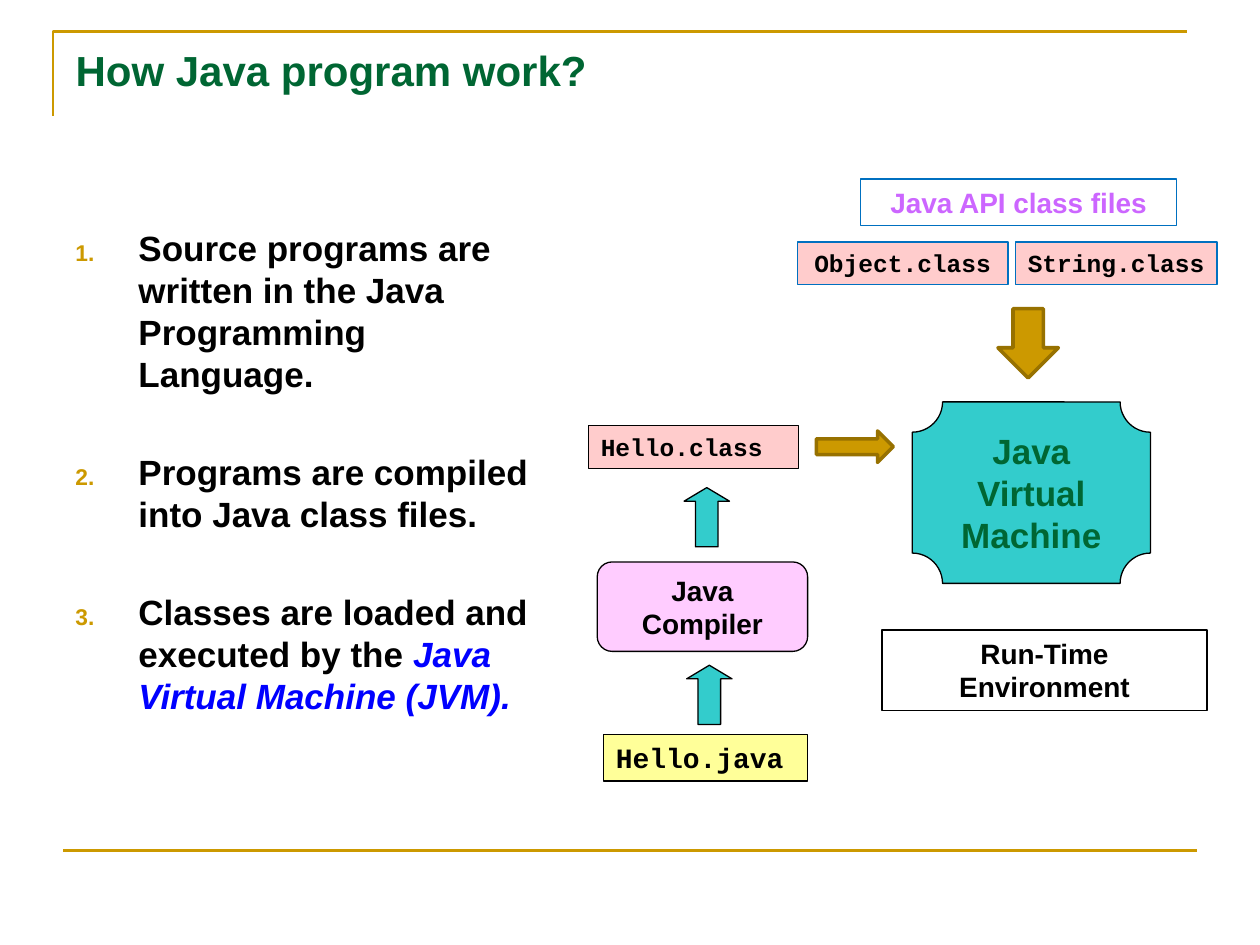
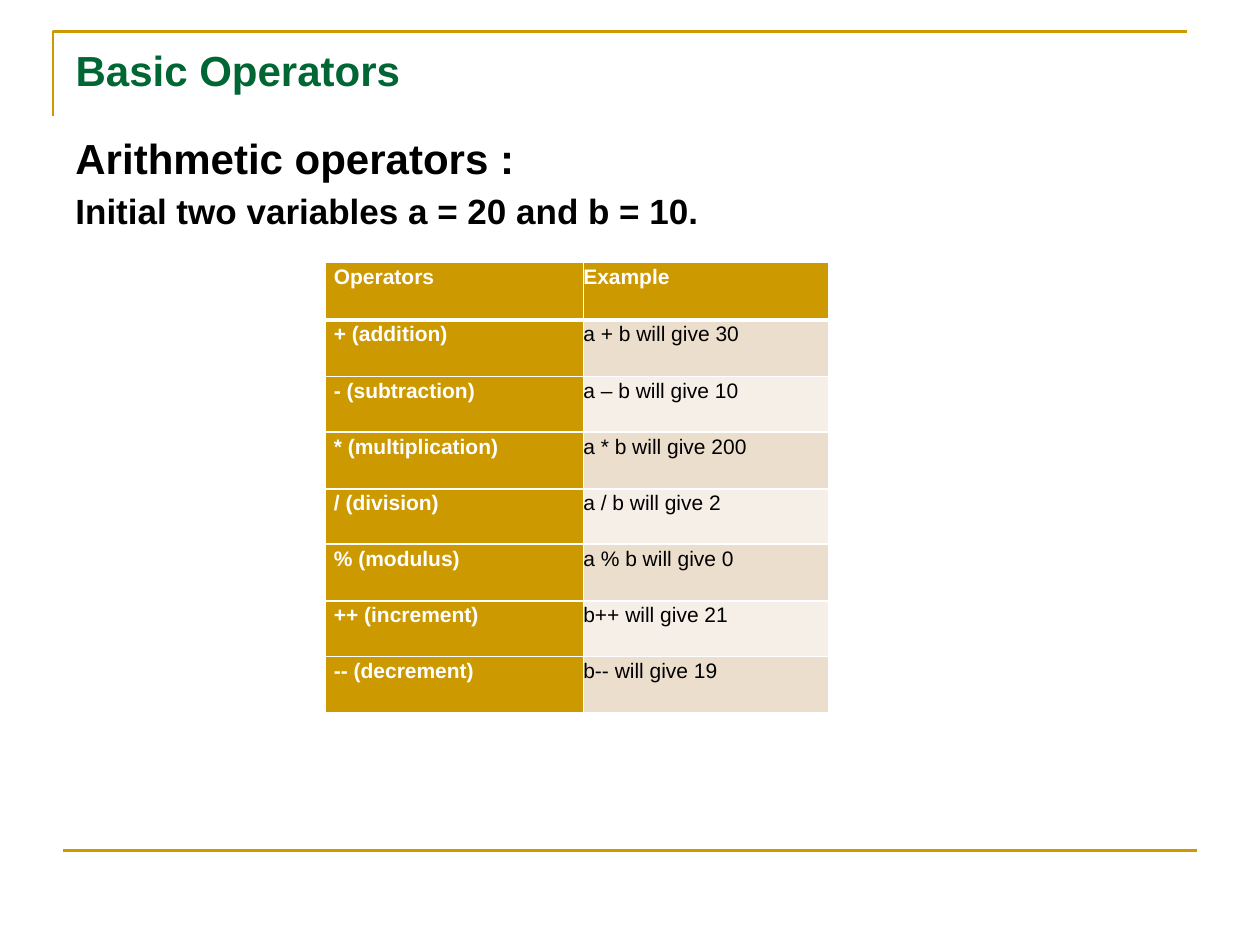
from lxml import etree
from pptx import Presentation
from pptx.dml.color import RGBColor
from pptx.enum.shapes import MSO_CONNECTOR, MSO_SHAPE
from pptx.enum.text import MSO_ANCHOR, PP_ALIGN
from pptx.oxml.ns import qn
from pptx.util import Inches, Pt

LEFT, MID = PP_ALIGN.LEFT, PP_ALIGN.CENTER
TOP, CENTER = MSO_ANCHOR.TOP, MSO_ANCHOR.MIDDLE
RECT, PLAQUE = MSO_SHAPE.RECTANGLE, MSO_SHAPE.PLAQUE
ROUND = MSO_SHAPE.FLOWCHART_ALTERNATE_PROCESS
UP, DOWN, RIGHT = MSO_SHAPE.UP_ARROW, MSO_SHAPE.DOWN_ARROW, MSO_SHAPE.RIGHT_ARROW
STRAIGHT = MSO_CONNECTOR.STRAIGHT

GOLD, BRONZE, GREEN, TEAL = "CC9900", "977100", "006633", "33CCCC"
BLACK, WHITE, BLUE, EDGE = "000000", "FFFFFF", "0000FF", "0070C0"
PINK, LILAC, YELLOW, PURPLE = "FFCCCC", "FFCCFF", "FFFF99", "CC66FF"
BANDS = ("ECDECC", "F6EFE7")
SANS, MONO = "Arial", "Courier New"


def color(code):
    return RGBColor.from_string(code)


def child(parent, tag, **attrs):
    return etree.SubElement(parent, qn(tag), attrs)


class Deck:
    base = {"name": SANS, "size": 16, "bold": True, "color": BLACK}

    def __init__(self):
        self.prs = Presentation()
        self.prs.slide_width, self.prs.slide_height = Inches(10), Inches(7.5)
        self.slide = None

    def start(self, title):
        self.slide = self.prs.slides.add_slide(self.prs.slide_layouts[5])
        trim = self.slide.shapes.build_freeform(Inches(0.42), Inches(0.92))
        trim.add_line_segments([(Inches(0.42), Inches(0.25)),
                                (Inches(9.42), Inches(0.25))], close=False)
        self.paint(trim.convert_to_shape(), None, GOLD, 1.5)
        rule = self.slide.shapes.add_connector(
            STRAIGHT, Inches(0.5), Inches(6.75), Inches(9.5), Inches(6.75))
        rule.line.color.rgb, rule.line.width = color(GOLD), Pt(1.5)
        child(rule._element.spPr, "a:effectLst")
        head = self.slide.shapes.title
        box = {"left": 0.5, "top": 0.3, "width": 9, "height": 1.2}
        for key, value in box.items():
            setattr(head, key, Inches(value))
        self.put(head.text_frame, [title], size=24, color=GREEN)

    def font(self, run, form):
        for key, value in {**self.base, **form}.items():
            if key == "color":
                run.font.color.rgb = color(value)
            else:
                setattr(run.font, key, Pt(value) if key == "size" else value)

    def put(self, frame, lines, align=LEFT, anchor=TOP, wrap=True, gap=0, **form):
        frame.word_wrap, frame.vertical_anchor = wrap, anchor
        for i, line in enumerate(lines):
            para = frame.add_paragraph() if i else frame.paragraphs[0]
            para.alignment = align
            para.space_before = Pt(gap if i else 0)
            for part, extra in [(line, {})] if isinstance(line, str) else line:
                run = para.add_run()
                run.text = part
                self.font(run, {**form, **extra})
        return frame

    def paint(self, shape, fill, line, weight):
        shape.shadow.inherit = False
        if fill:
            shape.fill.solid()
            shape.fill.fore_color.rgb = color(fill)
        else:
            shape.fill.background()
        shape.line.color.rgb, shape.line.width = color(line), Pt(weight)

    def shape(self, kind, box, fill=None, line=BLACK, weight=0.75,
              lines=(), bends=(), **form):
        item = self.slide.shapes.add_shape(kind, *map(Inches, box))
        self.paint(item, fill, line, weight)
        for i, bend in enumerate(bends):
            item.adjustments[i] = bend
        self.put(item.text_frame, lines, **form)

    def body(self, box, lines, **form):
        item = self.slide.shapes.add_textbox(*map(Inches, box))
        return self.put(item.text_frame, lines, **form)

    def number(self, frame):
        for para in frame.paragraphs:
            props = para._p.get_or_add_pPr()
            props.set("marL", str(Inches(0.5)))
            props.set("indent", str(-Inches(0.5)))
            child(child(props, "a:buClr"), "a:srgbClr", val=GOLD)
            child(props, "a:buSzPct", val="65000")
            child(props, "a:buFont", typeface=SANS)
            child(props, "a:buAutoNum", type="arabicPeriod")

    def cell(self, cell, text, fill, foot, indent, **form):
        pads = {"left": 0, "top": 0.01, "right": 0.08, "bottom": 0}
        for side, pad in pads.items():
            setattr(cell, "margin_" + side, Inches(pad))
        para = self.put(cell.text_frame, [text], size=12, **form).paragraphs[0]
        para.line_spacing = 1.07
        para._p.get_or_add_pPr().set("marL", str(Inches(indent)))
        props = cell._tc.get_or_add_tcPr()
        for side, weight in {"L": 1, "R": 1, "T": 1, "B": foot}.items():
            edge = child(props, "a:ln" + side, w=str(Pt(weight)))
            child(child(edge, "a:solidFill"), "a:srgbClr", val=WHITE)
        cell.fill.solid()
        cell.fill.fore_color.rgb = color(fill)

    def table(self, box, widths, heights, rows):
        grid = self.slide.shapes.add_table(
            len(rows), len(widths), *map(Inches, box)).table
        grid.first_row = grid.horz_banding = False
        for col, width in zip(grid.columns, widths):
            col.width = Inches(width)
        for i, (row, height) in enumerate(zip(rows, heights)):
            grid.rows[i].height = Inches(height)
            for j, text in enumerate(row):
                head = i == 0 or j == 0
                self.cell(grid.cell(i, j), text,
                          GOLD if head else BANDS[(i - 1) % 2],
                          1 if i else 3, 0 if j else 0.07,
                          bold=head, color=WHITE if head else BLACK)


def flow(deck):
    deck.start("How Java program work?")
    steps = [
        "Source programs are written in the Java Programming Language.",
        "Programs are compiled into Java class files.",
        [("Classes are loaded and executed by the ", {}),
         ("Java Virtual Machine (JVM).", {"color": BLUE, "italic": True})],
    ]
    deck.number(deck.body((0.5, 1.75, 3.92, 5), steps, size=20, gap=32))
    code = {"name": MONO, "size": 14}
    deck.shape(RECT, (4.79, 5.83, 1.62, 0.37), YELLOW,
               lines=["Hello.java"], name=MONO)
    deck.shape(ROUND, (4.74, 4.46, 1.67, 0.71), LILAC,
               lines=["Java Compiler"], align=MID, anchor=CENTER)
    deck.shape(RECT, (4.67, 3.38, 1.67, 0.34), PINK, lines=["Hello.class"], **code)
    deck.shape(RECT, (7, 5, 2.58, 0.64), lines=["Run-Time Environment"], align=MID)
    deck.shape(PLAQUE, (7.24, 3.19, 1.89, 1.44), TEAL, bends=[0.167],
               lines=["Java", "Virtual", "Machine"], align=MID, anchor=CENTER,
               size=20, color=GREEN)
    for left, top in ((5.45, 5.28), (5.43, 3.87)):
        deck.shape(UP, (left, top, 0.36, 0.47), TEAL, bends=[0.5, 0.3])
    for left, width, name in ((6.33, 1.67, "Object"), (8.06, 1.6, "String")):
        deck.shape(RECT, (left, 1.92, width, 0.34), PINK, EDGE,
                   lines=[name + ".class"], align=MID, wrap=False, **code)
    deck.shape(RECT, (6.83, 1.42, 2.51, 0.37), None, EDGE,
               lines=["Java API class files"], align=MID, color=PURPLE)
    for kind, box in ((RIGHT, (6.48, 3.42, 0.61, 0.25)),
                      (DOWN, (7.92, 2.45, 0.48, 0.55))):
        deck.shape(kind, box, GOLD, BRONZE, 2)


def signs(deck):
    deck.start("Basic Operators")
    deck.body((0.5, 1, 8.92, 1), [
        [("Arithmetic operators :", {"size": 24})],
        "Initial two variables a = 20 and b = 10.",
    ], size=20, gap=4)
    rows = [
        ("Operators", "Example"),
        ("+ (addition)", "a + b will give 30"),
        ("- (subtraction)", "a – b will give 10"),
        ("* (multiplication)", "a * b will give 200"),
        ("/ (division)", "a / b will give 2"),
        ("% (modulus)", "a % b will give 0"),
        ("++ (increment)", "b++ will give 21"),
        ("-- (decrement)", "b-- will give 19"),
    ]
    heights = [0.46] + [0.45 if i % 2 else 0.44 for i in range(1, len(rows))]
    deck.table((2.58, 2.08, 4, 3.58), (2.05, 1.95), heights, rows)


def main():
    deck = Deck()
    flow(deck)
    signs(deck)
    deck.prs.save("out.pptx")


if __name__ == "__main__":
    main()
